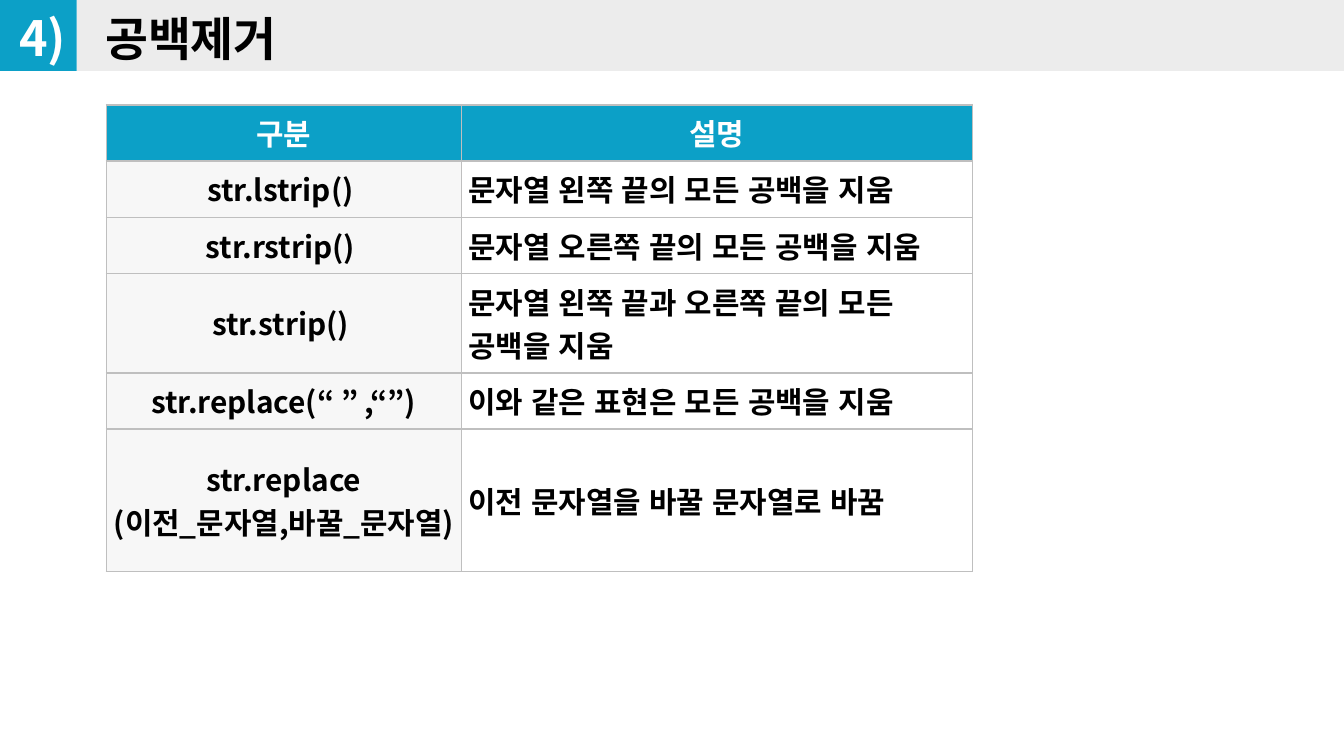
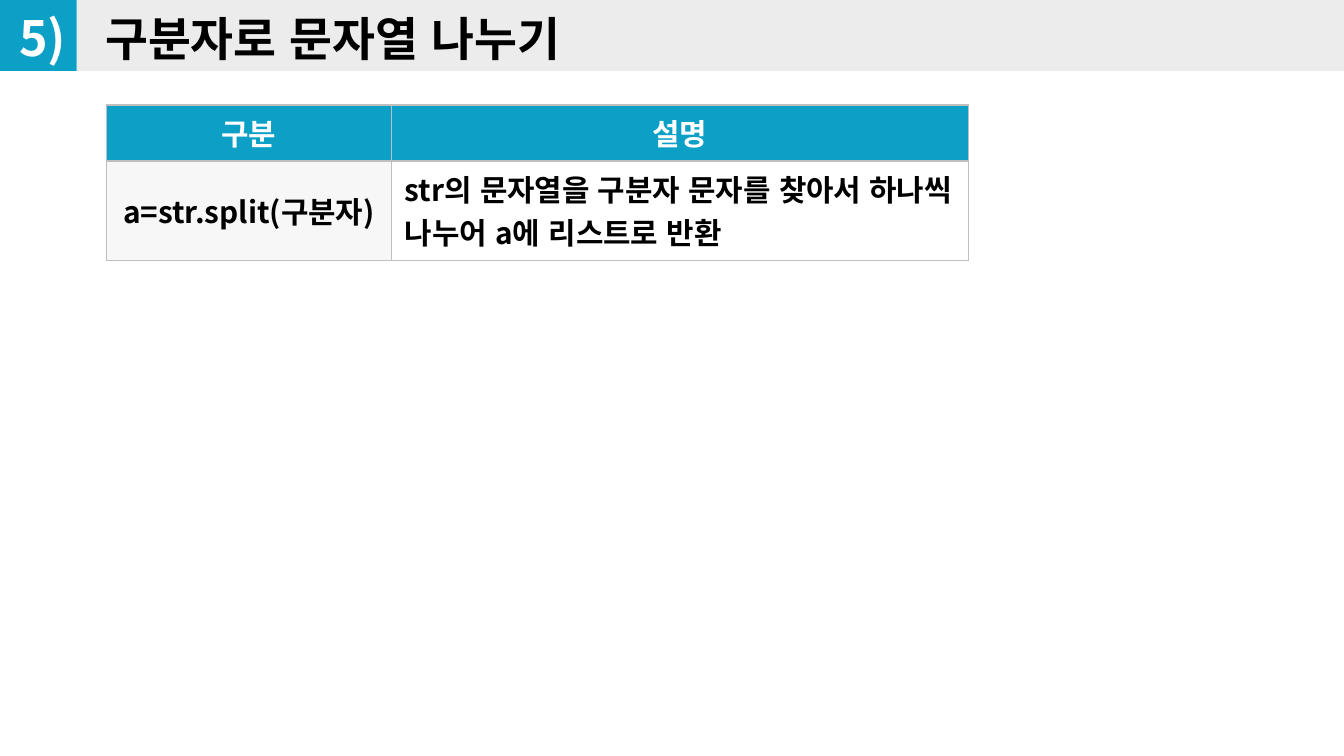
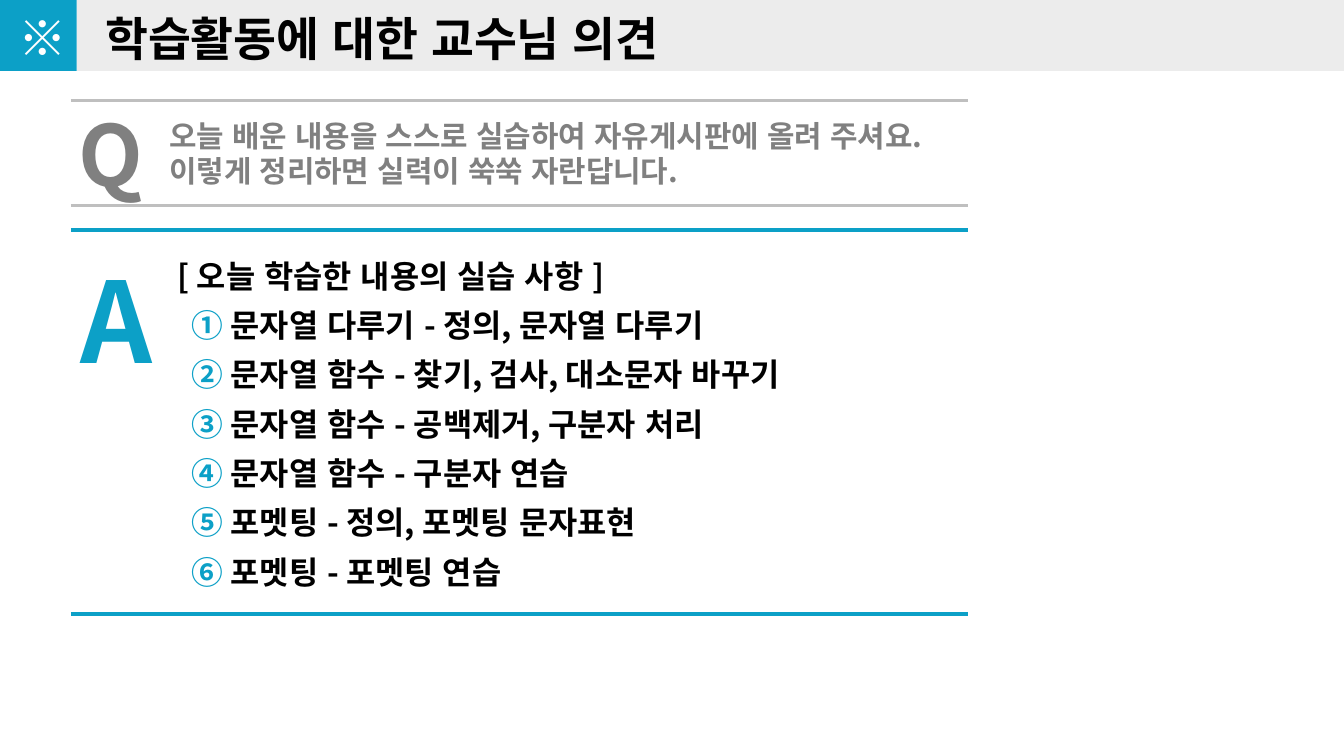
import lxml.etree
import pptx
import pptx.dml.color
import pptx.enum.lang
import pptx.enum.shapes
import pptx.enum.text
import pptx.oxml.ns
import pptx.util

Cm = pptx.util.Cm
Pt = pptx.util.Pt
ALIGN = pptx.enum.text.PP_ALIGN
ANCHOR = pptx.enum.text.MSO_ANCHOR

FONT = "Noto Sans CJK KR"
BLUE = "0CA0C7"
BAND = "ECECEC"
PALE = "F2F2F2"
RULE = "BFBFBF"
GRAY = "808080"
BLACK = "000000"
WHITE = "FFFFFF"


def paint(fill, tone):
    fill.solid()
    fill.fore_color.rgb = pptx.dml.color.RGBColor.from_string(tone)


def node(host, tag, **attrs):
    return lxml.etree.SubElement(host, pptx.oxml.ns.qn(tag), attrs)


class Deck:
    def __init__(self):
        self.show = pptx.Presentation()
        self.show.slide_width = Cm(25.4)
        self.show.slide_height = Cm(14.29)
        self.plan = self.show.slide_layouts[5]
        self.slide = None
        self.host = None

    def open(self, mark, title):
        first = self.slide is None
        self.slide = self.show.slides.add_slide(self.plan)
        self.host = self.slide.shapes
        if first:
            self.band(-0.02, 1.47, BLUE)
            self.band(1.45, 23.95, BAND)
        head = self.slide.shapes.title
        head.left, head.top, head.width, head.height = Cm(1.63), Cm(0), Cm(22.66), Cm(1.42)
        self.fill_text(head.text_frame, [title], 25, BLACK)
        self.text((-0.03, -0.02, 1.68, 1.47), [mark], 26, WHITE, align=ALIGN.CENTER, grow=False)

    def band(self, left, width, tone):
        kind = pptx.enum.shapes.MSO_SHAPE.RECTANGLE
        shape = self.host.add_shape(kind, Cm(left), Cm(-0.02), Cm(width), Cm(1.36))
        shape.shadow.inherit = False
        paint(shape.fill, tone)
        shape.line.fill.background()
        self.plan.shapes.element.insert(2, shape.element)

    def group(self):
        self.host = self.slide.shapes.add_group_shape().shapes

    def runs(self, para, words, size, tone):
        for count, part in enumerate(words.split("\n")):
            if count:
                para.add_line_break()
            run = para.add_run()
            run.text = part
            run.font.size = Pt(size)
            run.font.bold = True
            run.font.name = FONT
            run.font.language_id = pptx.enum.lang.MSO_LANGUAGE_ID.KOREAN
            paint(run.font.fill, tone)
            node(run.font._element, "a:ea", typeface=FONT)

    def fill_text(self, frame, lines, size, tone, align=ALIGN.LEFT,
                  anchor=ANCHOR.TOP, grow=False, count=False):
        sizes = pptx.enum.text.MSO_AUTO_SIZE
        frame.word_wrap = True
        frame.auto_size = sizes.SHAPE_TO_FIT_TEXT if grow else sizes.NONE
        frame.vertical_anchor = anchor
        frame.margin_left = frame.margin_right = Cm(0.36)
        frame.margin_top = frame.margin_bottom = Cm(0.18)
        for row, words in enumerate(lines):
            para = frame.add_paragraph() if row else frame.paragraphs[0]
            if row and count:
                self.number(para)
            para.alignment = align
            para.line_spacing = 1.0
            para.space_before = Pt(6 if row else 0)
            self.runs(para, words, size, tone)

    def number(self, para):
        props = para._p.get_or_add_pPr()
        props.set("marL", str(Cm(1)))
        props.set("indent", str(Cm(-0.74)))
        node(node(props, "a:buClr"), "a:srgbClr", val=BLUE)
        node(props, "a:buAutoNum", type="circleNumDbPlain")

    def text(self, place, lines, size, tone, grow=True, **style):
        box = self.host.add_textbox(*map(Cm, place))
        self.fill_text(box.text_frame, lines, size, tone, grow=grow, **style)

    def line(self, top, tone, width):
        kind = pptx.enum.shapes.MSO_CONNECTOR.STRAIGHT
        rule = self.host.add_connector(kind, Cm(1.34), Cm(top), Cm(18.29), Cm(top))
        paint(rule.line.fill, tone)
        rule.line.width = Pt(width)
        node(rule._element.spPr, "a:effectLst")

    def table(self, widths, rows, side):
        frame = self.host.add_table(len(rows), len(widths), Cm(2.01), Cm(1.98),
                                    Cm(sum(widths)), Cm(len(rows)))
        grid = frame.table
        grid.horz_banding = False
        for col, width in zip(grid.columns, widths):
            col.width = Cm(width)
        for y, row in enumerate(rows):
            for x, words in enumerate(row):
                self.cell(grid.cell(y, x), words, side, y == 0, x == 0)

    def cell(self, cell, words, side, head, key):
        cell.margin_left = cell.margin_right = Cm(side)
        cell.margin_top = Cm(0.12)
        cell.margin_bottom = Cm(0.13)
        cell.vertical_anchor = ANCHOR.MIDDLE
        props = cell._tc.get_or_add_tcPr()
        for edge in ("a:lnL", "a:lnR", "a:lnT", "a:lnB"):
            rule = node(props, edge, w=str(Pt(1)))
            node(node(rule, "a:solidFill"), "a:srgbClr", val=RULE)
        paint(cell.fill, BLUE if head else PALE if key else WHITE)
        if key and not head:
            tone = props.find(pptx.oxml.ns.qn("a:solidFill"))[0]
            node(tone, "a:alpha", val="61000")
        para = cell.text_frame.paragraphs[0]
        para.alignment = ALIGN.CENTER if head or key else ALIGN.LEFT
        self.runs(para, words, 16, WHITE if head else BLACK)


def main():
    deck = Deck()
    heads = ("구분", "설명")

    deck.open("4)", "공백제거")
    deck.table((6.71, 9.66), [
        heads,
        ("str.lstrip() ", "문자열 왼쪽 끝의 모든 공백을 지움"),
        ("str.rstrip() ", "문자열 오른쪽 끝의 모든 공백을 지움"),
        ("str.strip() ", "문자열 왼쪽 끝과 오른쪽 끝의 모든 공백을 지움"),
        ("str.replace(“ ” ,“”)", "이와 같은 표현은 모든 공백을 지움"),
        ("str.replace\n(이전_문자열,바꿀_문자열) ", "이전 문자열을 바꿀 문자열로 바꿈"),
    ], 0.13)

    deck.open("5)", "구분자로 문자열 나누기")
    deck.table((5.39, 10.9), [
        heads,
        ("a=str.split(구분자)", "str의 문자열을 구분자 문자를 찾아서 하나씩 나누어 a에 리스트로 반환"),
    ], 0.25)

    deck.open("※", "학습활동에 대한 교수님 의견")
    for top in (3.89, 1.9):
        deck.line(top, RULE, 1.5)
    deck.group()
    for top in (4.34, 11.6):
        deck.line(top, BLUE, 2.25)
    deck.text((1.17, 4.57, 2.03, 2.92), ["A"], 60, BLUE)
    deck.text((3, 4.67, 15.32, 6.73), [
        "[ 오늘 학습한 내용의 실습 사항 ]",
        "문자열 다루기 - 정의, 문자열 다루기",
        "문자열 함수 - 찾기, 검사, 대소문자 바꾸기",
        "문자열 함수 - 공백제거, 구분자 처리",
        "문자열 함수 - 구분자 연습",
        "포멧팅 - 정의, 포멧팅 문자표현",
        "포멧팅 - 포멧팅 연습",
    ], 17, BLACK, count=True)
    deck.group()
    deck.text((2.84, 2.03, 15.77, 1.73), [
        "오늘 배운 내용을 스스로 실습하여 자유게시판에 올려 주셔요.\n이렇게 정리하면 실력이 쑥쑥 자란답니다.",
    ], 16, GRAY, anchor=ANCHOR.MIDDLE)
    deck.text((1.12, 1.75, 1.88, 2.29), ["Q"], 45, GRAY)

    deck.show.save("out.pptx")


if __name__ == "__main__":
    main()
